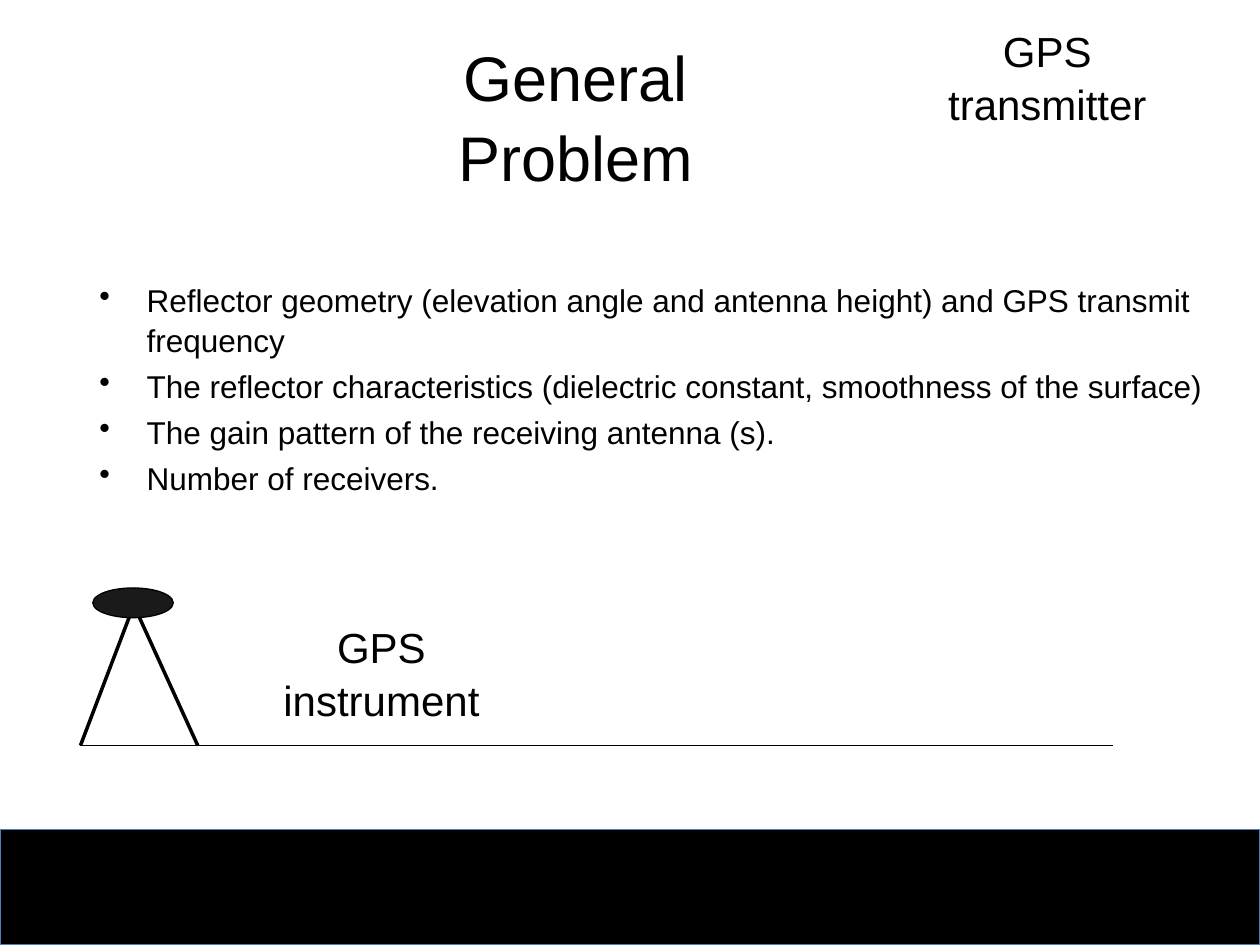
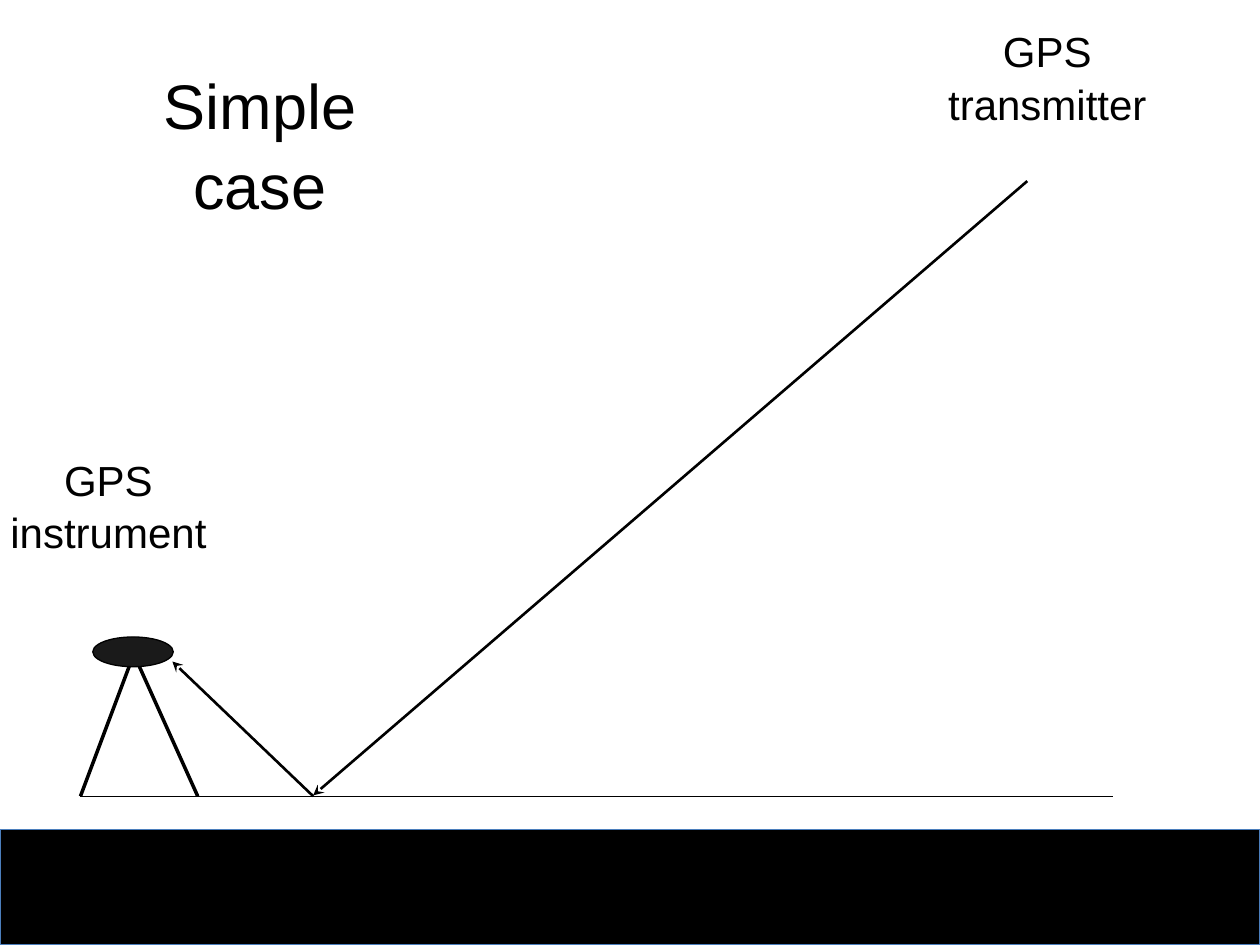
from dataclasses import dataclass

from lxml import etree
from pptx import Presentation
from pptx.dml.color import RGBColor
from pptx.enum.shapes import MSO_CONNECTOR as Connector, MSO_SHAPE as Preset
from pptx.enum.text import MSO_ANCHOR as Anchor, MSO_AUTO_SIZE as AutoSize, PP_ALIGN as Align
from pptx.oxml.ns import qn
from pptx.shapes.base import BaseShape
from pptx.slide import Slide
from pptx.util import Pt

COLORS = {"ink": "000000", "antenna": "1A1A1A", "band_edge": "4B7EBC"}
FONT = "Arial"
LINE_SPACING = 1.05
TITLE_INSET = 36  # narrows the title so that each word takes a line
LABEL_INSET = 3
BULLET_INDENT = 27


@dataclass(frozen=True)
class Box:
    left: float
    top: float
    width: float
    height: float

    def lengths(self) -> list:
        return [Pt(value) for value in (self.left, self.top, self.width, self.height)]


@dataclass(frozen=True)
class Line:
    """A straight line; an arrowhead sits at the start."""
    start: tuple[float, float]
    end: tuple[float, float]
    width: float
    arrow: bool = False


@dataclass(frozen=True)
class Scene:
    title: str
    title_box: Box
    instrument_box: Box
    ground: float
    antenna_top: float
    bullets: tuple[str, ...] = ()
    rays: tuple[Line, ...] = ()


BAND = Box(0, 474, 720, 66)
TRANSMITTER_BOX = Box(524, 13, 149, 63)
BULLET_BOX = Box(49.7, 156.2, 661.7, 218)

SCENES = [
    Scene(
        "General Problem", Box(190, 20, 278, 44), Box(156, 354, 124, 63), 426, 336,
        bullets=(
            "Reflector geometry (elevation angle and antenna height) and GPS transmit frequency",
            "The reflector characteristics (dielectric constant, smoothness of the surface)",
            "The gain pattern of the receiving antenna (s).",
            "Number of receivers.",
        ),
    ),
    Scene(
        "Simple case", Box(48, 36, 201, 44), Box(0, 258, 124, 63), 455, 364,
        rays=(
            Line((179, 454.5), (587, 103.5), 1.5, arrow=True),
            Line((98.5, 378), (179, 455), 1.5, arrow=True),
        ),
    ),
]


def rgb(name: str) -> RGBColor:
    return RGBColor.from_string(COLORS[name])


def apply_format(target, values: dict) -> None:
    for name, value in values.items():
        setattr(target, name, value)


def write_text(shape: BaseShape, box: Box, lines: tuple[str, ...], size: float,
               insets: tuple[float, float], align: Align = Align.CENTER,
               bulleted: bool = False) -> None:
    """Place a text shape and fill it; insets are horizontal and vertical."""
    apply_format(shape, dict(zip(("left", "top", "width", "height"), box.lengths())))
    frame = shape.text_frame
    horizontal, vertical = (Pt(inset) for inset in insets)
    apply_format(frame, {
        "word_wrap": True, "auto_size": AutoSize.NONE, "vertical_anchor": Anchor.TOP,
        "margin_left": horizontal, "margin_right": horizontal,
        "margin_top": vertical, "margin_bottom": vertical,
    })
    for index, line in enumerate(lines):
        paragraph = frame.add_paragraph() if index else frame.paragraphs[0]
        paragraph.text = line
        space = Pt(size * 0.2) if bulleted and index else Pt(0)
        apply_format(paragraph, {
            "alignment": align, "line_spacing": LINE_SPACING, "space_before": space,
        })
        if bulleted:
            properties = paragraph._p.get_or_add_pPr()
            properties.set("marL", str(Pt(BULLET_INDENT)))
            properties.set("indent", str(-Pt(BULLET_INDENT)))
            etree.SubElement(properties, qn("a:buChar")).set("char", "•")
        apply_format(paragraph.font, {"name": FONT, "size": Pt(size)})
        paragraph.font.color.rgb = rgb("ink")


def add_text(slide: Slide, box: Box, lines: tuple[str, ...], size: float, **options) -> None:
    write_text(slide.shapes.add_textbox(*box.lengths()), box, lines, size, **options)


def add_solid(shapes, preset: Preset, box: Box, fill: str, edge: str) -> None:
    shape = shapes.add_shape(preset, *box.lengths())
    shape.shadow.inherit = False
    shape.fill.solid()
    shape.fill.fore_color.rgb = rgb(fill)
    shape.line.color.rgb = rgb(edge)
    shape.line.width = Pt(0.75)


def add_line(shapes, line: Line) -> None:
    ends = [Pt(value) for value in (*line.start, *line.end)]
    connector = shapes.add_connector(Connector.STRAIGHT, *ends)
    connector.line.color.rgb = rgb("ink")
    connector.line.width = Pt(line.width)
    properties = connector._element.spPr
    if line.arrow:
        etree.SubElement(properties.find(qn("a:ln")), qn("a:headEnd")).set("type", "stealth")
    etree.SubElement(properties, qn("a:effectLst"))


def add_tripod(slide: Slide, top: float, ground: float) -> None:
    """Two legs with the antenna on top, as one group."""
    shapes = slide.shapes.add_group_shape().shapes
    for apex, foot in ((77, 113), (76, 46)):
        add_line(shapes, Line((apex, top + 11), (foot, ground), 2))
    add_solid(shapes, Preset.OVAL, Box(53, top, 46, 17), "antenna", "ink")


def build_slide(presentation: Presentation, scene: Scene) -> None:
    slide = presentation.slides.add_slide(presentation.slide_layouts[5])

    # Title, band and ground
    write_text(slide.shapes.title, scene.title_box, (scene.title,), 36, (TITLE_INSET, 0))
    add_solid(slide.shapes, Preset.RECTANGLE, BAND, "ink", "band_edge")
    add_line(slide.shapes, Line((46, scene.ground), (636, scene.ground), 0.75))

    # Instrument and labels
    add_tripod(slide, scene.antenna_top, scene.ground)
    for box, name in ((scene.instrument_box, "instrument"), (TRANSMITTER_BOX, "transmitter")):
        add_text(slide, box, ("GPS", name), 24, insets=(LABEL_INSET, 0))

    # Bullets and signal rays
    if scene.bullets:
        add_text(slide, BULLET_BOX, scene.bullets, 18, insets=(7.2, 3.6),
                 align=Align.LEFT, bulleted=True)
    for ray in scene.rays:
        add_line(slide.shapes, ray)


def main() -> None:
    presentation = Presentation()
    apply_format(presentation, {"slide_width": Pt(720), "slide_height": Pt(540)})
    for scene in SCENES:
        build_slide(presentation, scene)
    presentation.save("out.pptx")


if __name__ == "__main__":
    main()
